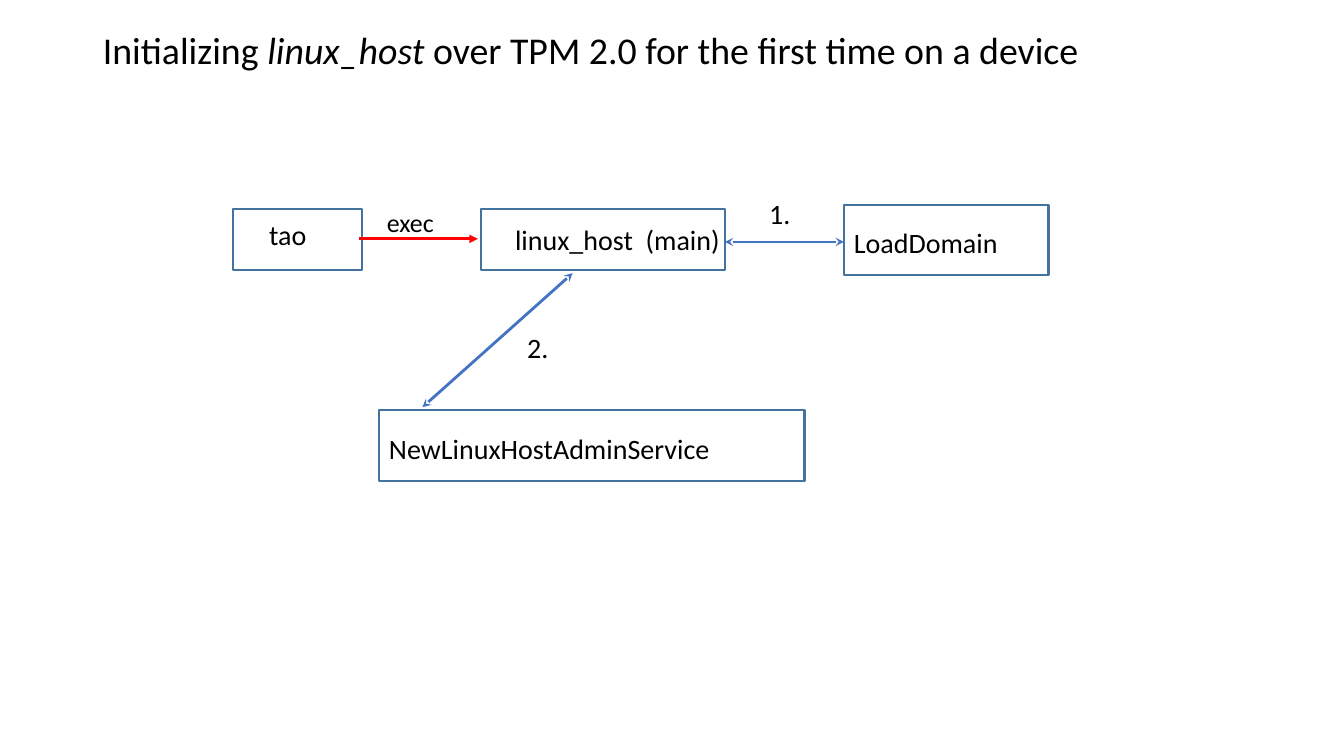
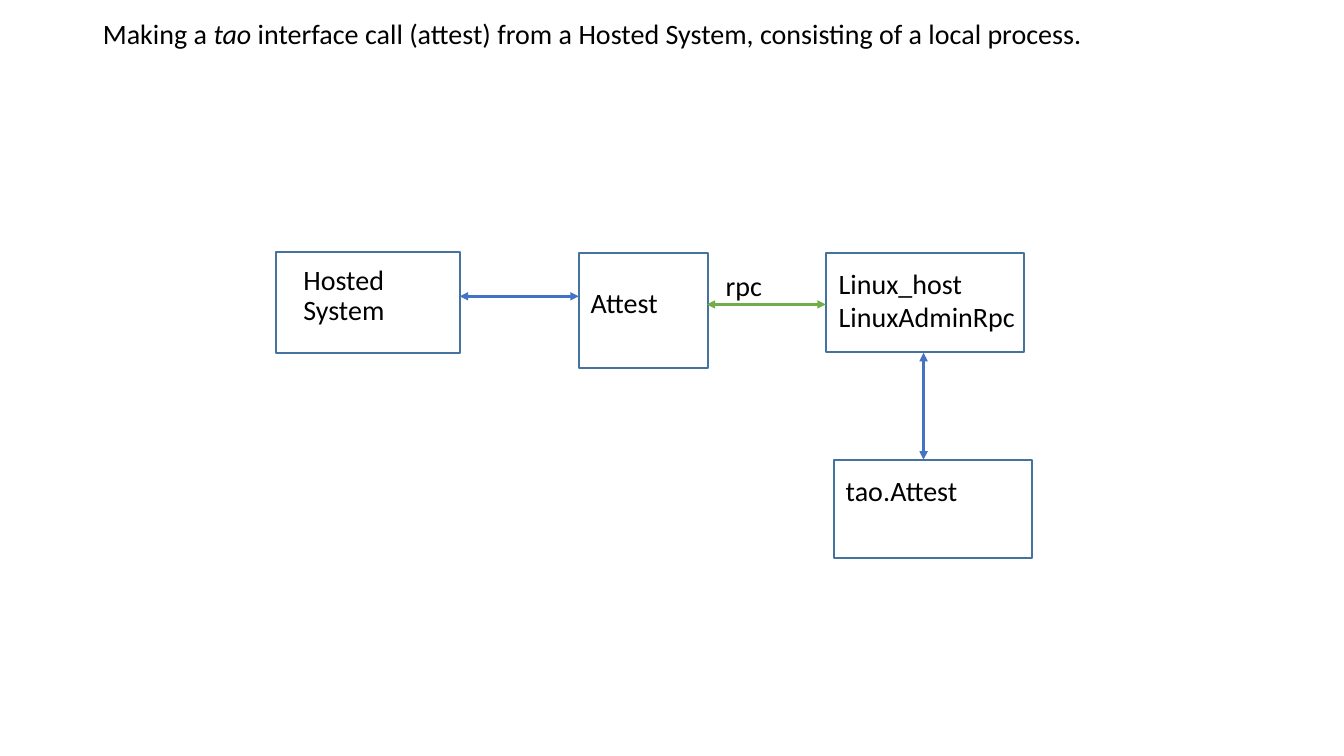
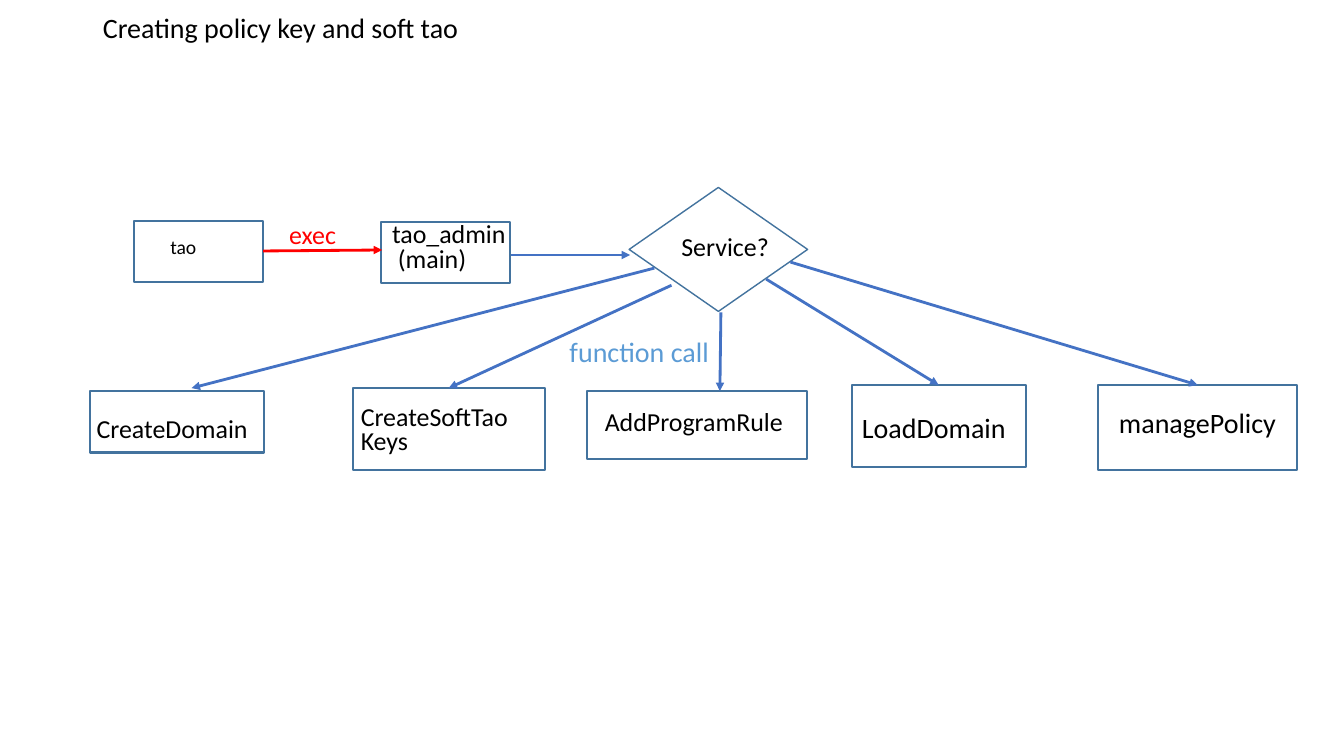
"""Build three flow diagrams of the tao host, attest call and policy key set-up."""
from pptx import Presentation
from pptx.dml.color import RGBColor
from pptx.enum import shapes, text
from pptx.oxml import ns, xmlchemy
from pptx.util import Inches, Pt

COLORS = {
    "text": "000000",
    "border": "43739E",
    "call": "4472C4",
    "exec": "FF0000",
    "rpc": "70AD47",
    "note": "5B9BD5",
}
FONT = "Calibri"
ARROW_WIDTH = 2
BORDER_WIDTH = 1.5


def color(name):
    return RGBColor.from_string(COLORS[name])


def style(paragraph, size, name="text", spacing=None):
    paragraph.font.name = FONT
    paragraph.font.size = Pt(size)
    paragraph.font.color.rgb = color(name)
    paragraph.line_spacing = spacing


host_start = {
    "title": [("Initializing ", False), ("linux_host", True),
              (" over TPM 2.0 for the first time on a device", False)],
    "title_place": (0.92, 0.2, 11.61, 0.64),
    "title_size": 27,
    "boxes": [(2.31, 2.07, 1.28, 0.61), (4.77, 2.07, 2.42, 0.61),
              (8.37, 2.03, 2.03, 0.7), (3.76, 4.07, 4.22, 0.7)],
    "diamonds": [],
    "labels": [
        ("tao", 2.57, 2.11, 1.02, 0.45, 20, None, "text"),
        ("linux_host  (main)", 5.01, 2.16, 3.36, 0.86, 20, None, "text"),
        ("LoadDomain", 8.37, 2.19, 1.77, 0.65, 20, None, "text"),
        ("exec", 3.74, 2.06, 2.03, 0.36, 18.5, 0.8, "text"),
        ("1.", 7.53, 1.9, 0.64, 0.47, 20, None, "text"),
        ("NewLinuxHostAdminService", 3.76, 4.23, 3.64, 0.65, 20, None, "text"),
        ("2.", 5.13, 3.23, 0.55, 0.73, 20, None, "text"),
    ],
    "arrows": [
        ((3.56, 2.37), (4.74, 2.37), "exec", None, "triangle"),
        ((7.19, 2.4), (8.37, 2.4), "call", "stealth", "stealth"),
        ((4.19, 4.04), (5.68, 2.71), "call", "stealth", "stealth"),
    ],
}

attest_call = {
    "title": [("Making a ", False), ("tao", True),
              (" interface call (attest) from a Hosted System, consisting of a local process.", False)],
    "title_place": (0.92, 0.13, 11.5, 0.44),
    "title_size": 20,
    "boxes": [(2.74, 2.5, 1.82, 1), (5.74, 2.51, 1.28, 1.14),
              (8.19, 2.51, 1.97, 0.98), (8.27, 4.56, 1.97, 0.98)],
    "diamonds": [],
    "labels": [
        ("Hosted System", 2.91, 2.59, 1.25, 0.74, 20, 0.9, "text"),
        ("Attest", 5.76, 2.82, 1.16, 0.43, 20, 0.9, "text"),
        ("Linux_host\nLinuxAdminRpc", 8.22, 2.59, 2.1, 0.79, 20, None, "text"),
        ("rpc", 7.1, 2.65, 1.16, 0.43, 20, 0.9, "text"),
        ("tao.Attest", 8.29, 4.65, 2.1, 0.79, 20, None, "text"),
    ],
    "arrows": [
        ((4.56, 2.94), (5.74, 2.94), "call", "triangle", "triangle"),
        ((7.01, 3.02), (8.19, 3.02), "rpc", "triangle", "triangle"),
        ((9.16, 3.5), (9.16, 4.56), "call", "triangle", "triangle"),
    ],
}

service_calls = [
    ((6.49, 2.66), (1.9, 3.85)),
    ((6.66, 2.83), (4.45, 3.85)),
    ((7.15, 3.1), (7.14, 3.88)),
    ((7.6, 2.77), (9.31, 3.82)),
    ((7.84, 2.6), (11.88, 3.82)),
]
policy_key = {
    "title": [("Creating policy key and soft tao", False)],
    "title_place": (0.92, 0.14, 11.5, 0.31),
    "title_size": 20,
    "boxes": [(1.33, 2.19, 1.28, 0.61), (3.78, 2.2, 1.28, 0.61),
              (3.5, 3.85, 1.91, 0.81), (0.89, 3.88, 1.73, 0.61),
              (5.82, 3.88, 2.18, 0.67), (8.45, 3.82, 1.73, 0.81),
              (10.89, 3.82, 1.97, 0.84)],
    "diamonds": [(6.24, 1.86, 1.77, 1.23)],
    "labels": [
        ("tao", 1.59, 2.33, 0.62, 0.3, 14, 0.8, "text"),
        ("tao_admin\n (main)", 3.79, 2.17, 2.03, 0.62, 18.5, 0.8, "text"),
        ("CreateSoftTaoKeys", 3.48, 3.98, 1.77, 0.65, 18.5, 0.8, "text"),
        ("managePolicy", 11, 3.97, 1.77, 0.65, 20, None, "text"),
        ("LoadDomain", 8.45, 4.02, 1.77, 0.65, 20, None, "text"),
        ("AddProgramRule", 5.9, 3.97, 2.1, 0.65, 18.5, None, "text"),
        ("CreateDomain", 0.86, 4.04, 1.77, 0.65, 18.5, None, "text"),
        ("Service?", 6.66, 2.3, 2.03, 0.36, 18.5, 0.8, "text"),
        ("exec", 2.77, 2.18, 2.03, 0.36, 18.5, 0.8, "exec"),
        ("function call", 5.55, 3.27, 2.03, 0.36, 20, None, "note"),
    ],
    "arrows": [
        ((2.61, 2.49), (3.79, 2.48), "exec", None, "triangle"),
        ((5.07, 2.53), (6.25, 2.53), "call", None, "triangle"),
        *[(start, end, "call", None, "triangle") for start, end in service_calls],
    ],
}

deck = Presentation()
deck.slide_width = Inches(13.33)
deck.slide_height = Inches(7.5)
title_only = deck.slide_layouts[5]

for diagram in (host_start, attest_call, policy_key):
    slide = deck.slides.add_slide(title_only)

    title = slide.shapes.title
    title.left, title.top, title.width, title.height = map(Inches, diagram["title_place"])
    title.text_frame.auto_size = text.MSO_AUTO_SIZE.NONE
    title.text_frame.vertical_anchor = text.MSO_ANCHOR.MIDDLE
    heading = title.text_frame.paragraphs[0]
    heading.alignment = text.PP_ALIGN.LEFT
    style(heading, diagram["title_size"], spacing=0.9)
    for words, italic in diagram["title"]:
        run = heading.add_run()
        run.text = words
        run.font.italic = italic

    for kind, places, width in (
        (shapes.MSO_SHAPE.RECTANGLE, diagram["boxes"], BORDER_WIDTH),
        (shapes.MSO_SHAPE.DIAMOND, diagram["diamonds"], 1),
    ):
        for place in places:
            step = slide.shapes.add_shape(kind, *map(Inches, place))
            step.shadow.inherit = False
            step.fill.background()
            step.line.color.rgb = color("border")
            step.line.width = Pt(width)

    for start, end, name, head, tail in diagram["arrows"]:
        arrow = slide.shapes.add_connector(
            shapes.MSO_CONNECTOR.STRAIGHT, *map(Inches, start + end))
        arrow.line.color.rgb = color(name)
        arrow.line.width = Pt(ARROW_WIDTH)
        properties = arrow._element.spPr
        outline = properties.find(ns.qn("a:ln"))
        for tag, ending in (("a:headEnd", head), ("a:tailEnd", tail)):
            if ending:
                tip = xmlchemy.OxmlElement(tag)
                tip.set("type", ending)
                outline.append(tip)
        properties.append(xmlchemy.OxmlElement("a:effectLst"))

    for words, left, top, width, height, size, spacing, name in diagram["labels"]:
        label = slide.shapes.add_textbox(*map(Inches, (left, top, width, height)))
        label.text_frame.word_wrap = True
        label.text_frame.text = words
        for paragraph in label.text_frame.paragraphs:
            style(paragraph, size, name, spacing)

deck.save("out.pptx")
